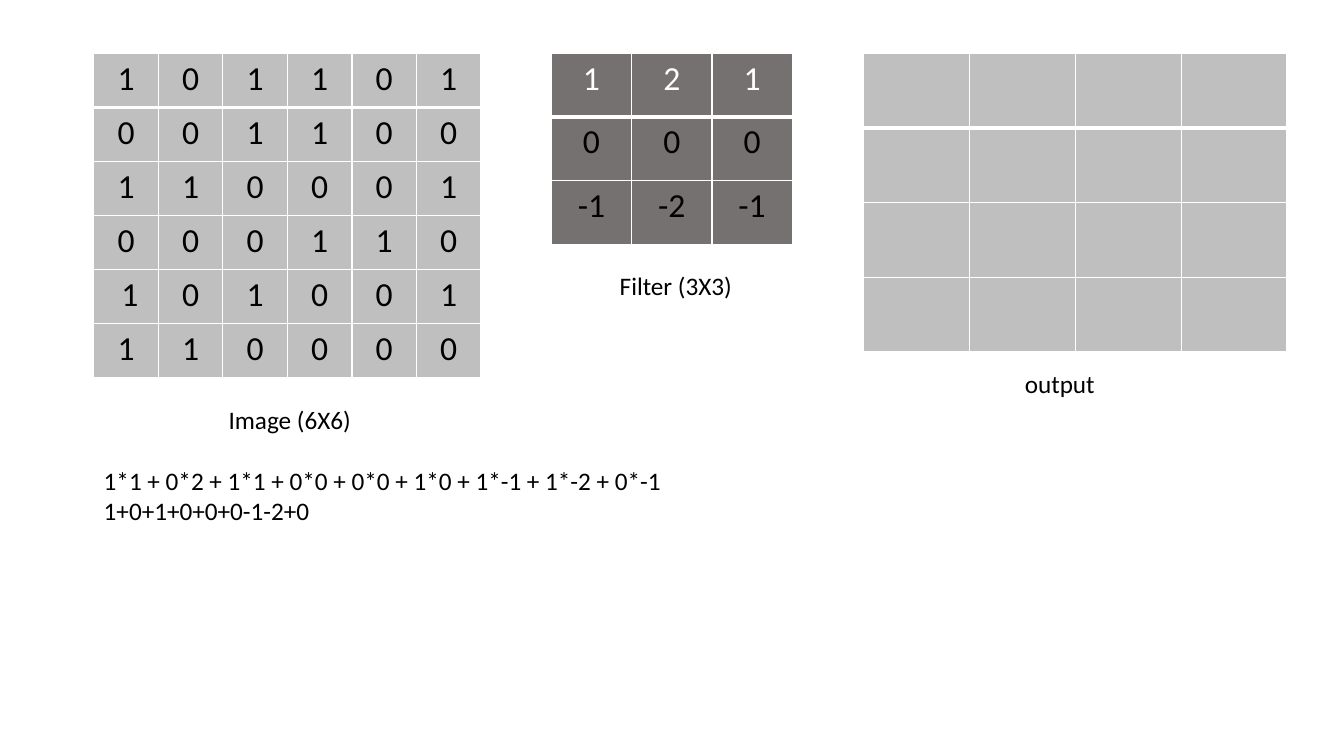
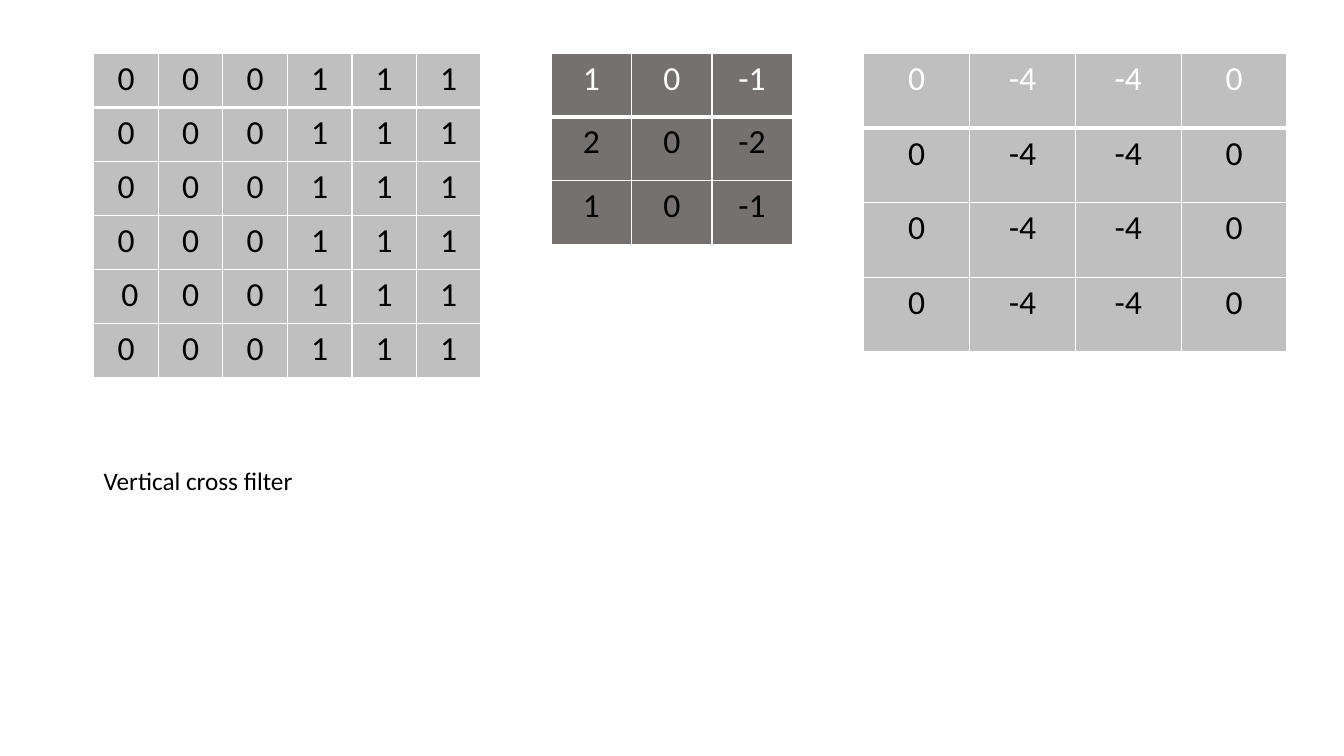
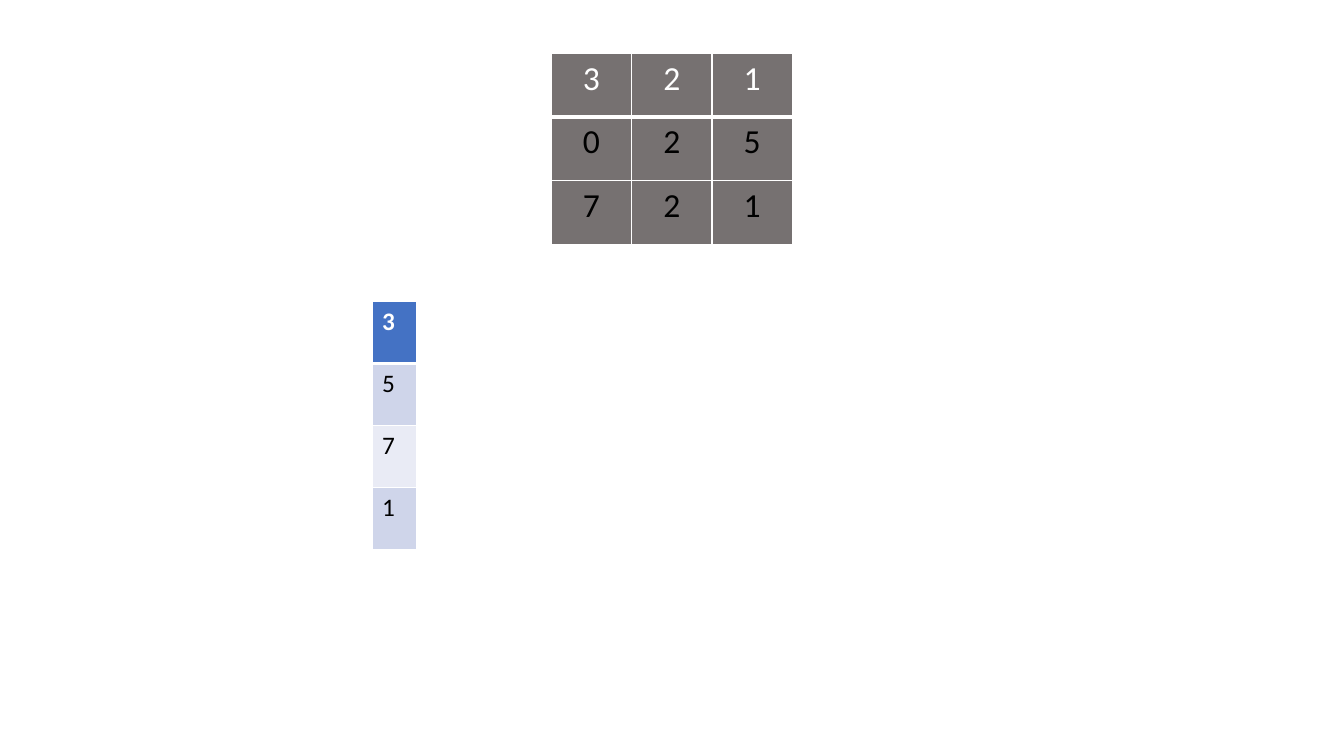
"""Build three slides that show how a filter moves over a grid of numbers."""
from dataclasses import dataclass

import lxml.etree
import pptx
import pptx.dml.color
import pptx.enum.text
import pptx.oxml.ns
import pptx.slide
import pptx.util

Pt = pptx.util.Pt
Color = pptx.dml.color.RGBColor
Align = pptx.enum.text.PP_ALIGN

WHITE = Color(0xFF, 0xFF, 0xFF)
BLACK = Color(0x00, 0x00, 0x00)
SILVER = Color(0xBF, 0xBF, 0xBF)
GRAY = Color(0x76, 0x71, 0x71)
BLUE = Color(0x44, 0x72, 0xC4)
PALE = Color(0xCF, 0xD5, 0xEA)
FAINT = Color(0xE9, 0xEB, 0xF5)

FONT = "Calibri"
TOP = 38.2
THIN, THICK = 1, 3


@dataclass(frozen=True)
class Grid:
    """Place and look of a table; fills run down the rows in turn."""
    left: float
    top: float
    width: float
    height: float
    fills: tuple[Color, ...]
    head: Color = WHITE
    size: float = 24
    align: Align = Align.CENTER
    bold: bool = False


@dataclass(frozen=True)
class Label:
    """A text box with one paragraph for each line."""
    left: float
    top: float
    width: float
    height: float
    lines: tuple[str, ...]


IMAGE = Grid(67, TOP, 276.6, 231.6, (SILVER,), head=BLACK)
FILTER = Grid(393.8, TOP, 172.2, 136.2, (GRAY,))
OUTPUT = Grid(617, TOP, 302.4, 213.2, (SILVER,))
VECTOR = Grid(265.8, 215.4, 31.7, 177, (BLUE, PALE, FAINT, PALE),
              size=18, align=Align.LEFT, bold=True)

# Each slide: its tables (grid and rows of values), then its labels.
SLIDES = (
    (
        (
            (IMAGE, ("1,0,1,1,0,1", "0,0,1,1,0,0", "1,1,0,0,0,1",
                     "0,0,0,1,1,0", " 1,0,1,0,0,1", "1,1,0,0,0,0")),
            (FILTER, ("1,2,1", "0,0,0", "-1,-2,-1")),
            (OUTPUT, (",,,",) * 4),
        ),
        (
            Label(67, 329, 418.3, 51, (
                "1*1 + 0*2 + 1*1 + 0*0 + 0*0 + 1*0 + 1*-1 + 1*-2 + 0*-1",
                "1+0+1+0+0+0-1-2+0")),
            Label(156.2, 285, 103, 29, ("Image (6X6)",)),
            Label(435.6, 189.4, 95.8, 29, ("Filter (3X3)",)),
            Label(725, 259.2, 64.8, 29, ("output",)),
        ),
    ),
    (
        (
            (IMAGE, ("0,0,0,1,1,1",) * 4 + (" 0,0,0,1,1,1", "0,0,0,1,1,1")),
            (FILTER, ("1,0,-1", "2,0,-2", "1,0,-1")),
            (OUTPUT, ("0,-4,-4,0",) * 4),
        ),
        (Label(67, 329, 151.2, 29, ("Vertical cross filter",)),),
    ),
    (
        (
            (FILTER, ("3,2,1", "0,2,5", "7,2,1")),
            (VECTOR, ("3", "5", "7", "1")),
        ),
        (),
    ),
)


def add_run(para, text: str, size: float, color: Color,
            bold: bool = False) -> None:
    """Add one run of text to a paragraph."""
    run = para.add_run()
    run.text = text
    run.font.name = FONT
    run.font.size = Pt(size)
    run.font.bold = bold
    run.font.color.rgb = color


def add_edge(cell, side: str, width: float) -> None:
    """Give one side of a cell a white line."""
    name = pptx.oxml.ns.qn
    line = lxml.etree.SubElement(cell._tc.get_or_add_tcPr(),
                                 name(f"a:ln{side}"), w=str(Pt(width)))
    fill = lxml.etree.SubElement(line, name("a:solidFill"))
    lxml.etree.SubElement(fill, name("a:srgbClr"), val=str(WHITE))


def draw_grid(slide: pptx.slide.Slide, grid: Grid,
              lines: tuple[str, ...]) -> None:
    """Draw a table with even rows and columns."""
    rows = [line.split(",") for line in lines]
    table = slide.shapes.add_table(
        len(rows), len(rows[0]), Pt(grid.left), Pt(grid.top),
        Pt(grid.width), Pt(grid.height)).table
    table.horz_banding = False
    for col in table.columns:
        col.width = Pt(grid.width / len(rows[0]))
    for r, row in enumerate(rows):
        table.rows[r].height = Pt(grid.height / len(rows))
        for c, value in enumerate(row):
            cell = table.cell(r, c)
            add_edge(cell, "L", THIN)
            add_edge(cell, "R", THIN)
            add_edge(cell, "T", THICK if r == 1 else THIN)
            add_edge(cell, "B", THICK if r == 0 else THIN)
            cell.fill.solid()
            cell.fill.fore_color.rgb = grid.fills[r % len(grid.fills)]
            para = cell.text_frame.paragraphs[0]
            para.alignment = grid.align
            if value:
                add_run(para, value, grid.size, BLACK if r else grid.head,
                        grid.bold and r == 0)


def draw_label(slide: pptx.slide.Slide, label: Label) -> None:
    """Draw a text box that grows with its text."""
    box = slide.shapes.add_textbox(Pt(label.left), Pt(label.top),
                                   Pt(label.width), Pt(label.height))
    frame = box.text_frame
    frame.word_wrap = False
    frame.auto_size = pptx.enum.text.MSO_AUTO_SIZE.SHAPE_TO_FIT_TEXT
    for i, line in enumerate(label.lines):
        para = frame.add_paragraph() if i else frame.paragraphs[0]
        add_run(para, line, 18, BLACK)


def main() -> None:
    """Build and save the deck."""
    deck = pptx.Presentation()
    deck.slide_width, deck.slide_height = Pt(960), Pt(540)
    for grids, labels in SLIDES:
        slide = deck.slides.add_slide(deck.slide_layouts[6])
        for grid, lines in grids:
            draw_grid(slide, grid, lines)
        for label in labels:
            draw_label(slide, label)
    deck.save("out.pptx")


main()
